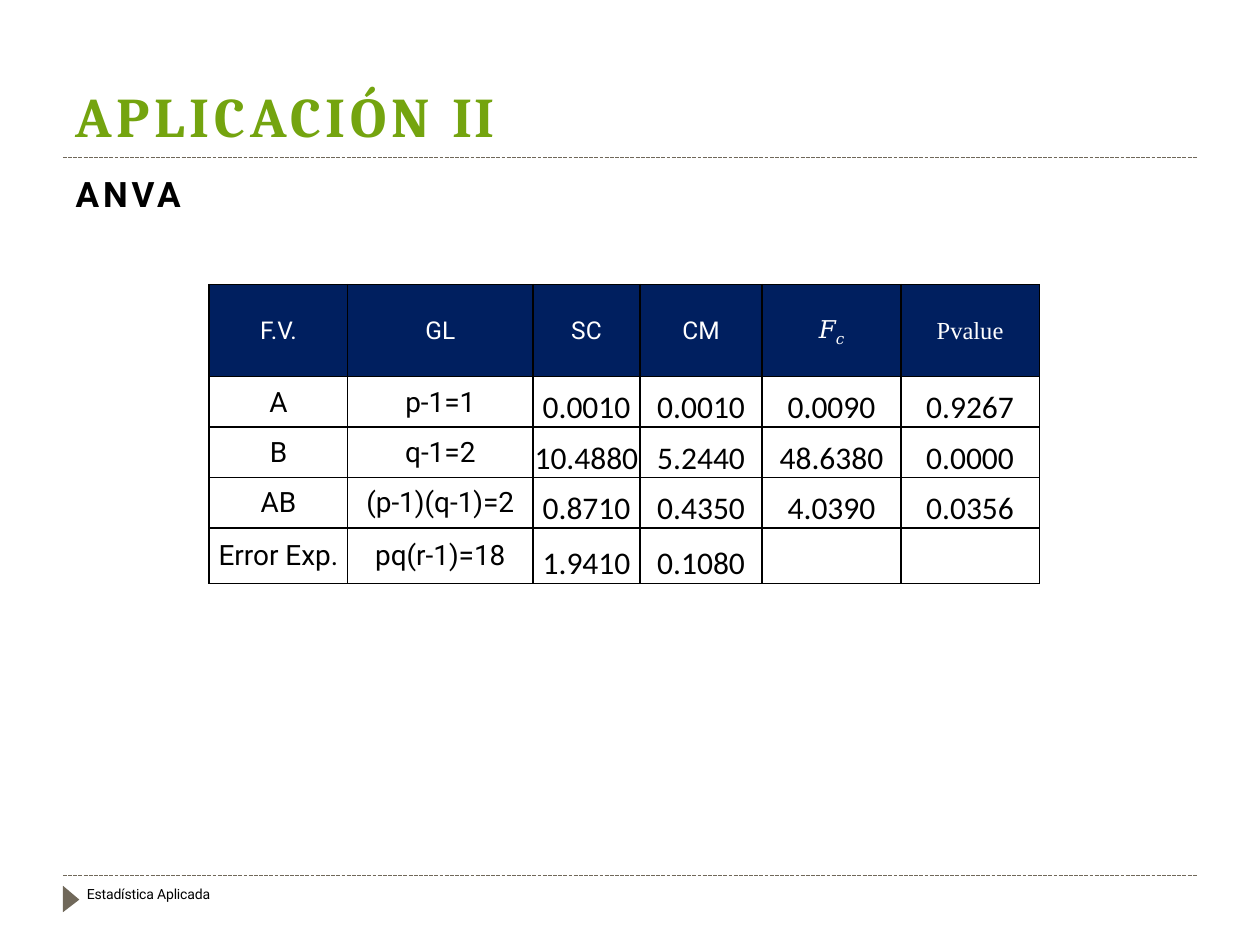
from dataclasses import dataclass

from lxml import etree
from pptx import Presentation
from pptx.dml.color import RGBColor
from pptx.enum import dml, shapes, text
from pptx.oxml import ns
from pptx.util import Inches, Pt


@dataclass(frozen=True)
class Theme:
    green: str = "74A40F"
    navy: str = "001F5F"
    taupe: str = "70685A"
    black: str = "000000"
    white: str = "FFFFFF"
    heading_font: str = "Cambria"
    body_font: str = "Roboto"
    number_font: str = "Calibri"
    math_font: str = "Times New Roman"
    title_size: float = 32
    subtitle_size: float = 20
    number_size: float = 18
    label_size: float = 16
    subscript_size: float = 15
    header_size: float = 14
    footer_size: float = 8


THEME = Theme()
COLUMN_WIDTHS = [1.1, 1.47, 0.85, 0.97, 1.1, 1.1]
ROW_HEIGHTS = [0.73, 0.4, 0.4, 0.4, 0.44]
LABEL_COLUMNS = 2
HEADERS = ["F.V.", "GL", "SC", "CM", "𝐹", "Pvalue"]
ANOVA_ROWS = [
    ["A", "p-1=1", "0.0010", "0.0010", "0.0090", "0.9267"],
    ["B", "q-1=2", "10.4880", "5.2440", "48.6380", "0.0000"],
    ["AB", "(p-1)(q-1)=2", "0.8710", "0.4350", "4.0390", "0.0356"],
    ["Error Exp.", "pq(r-1)=18", "1.9410", "0.1080", "", ""],
]


def write(paragraph, words, *, size, font=THEME.body_font, color=THEME.black,
          bold=False, spacing=0, baseline=0):
    """Append a run; spacing is in points, baseline in percent."""
    run = paragraph.add_run()
    run.text = words
    run.font.size = Pt(size)
    run.font.name = font
    run.font.bold = bold
    run.font.color.rgb = RGBColor.from_string(color)
    properties = run._r.get_or_add_rPr()
    if spacing:
        properties.set("spc", str(round(spacing * 100)))
    if baseline:
        properties.set("baseline", str(baseline * 1000))


def prepare_line(shape, left, top, width, height, space_before):
    """Place a one-paragraph text shape and return its paragraph."""
    shape.left, shape.top = Inches(left), Inches(top)
    shape.width, shape.height = Inches(width), Inches(height)
    frame = shape.text_frame
    frame.word_wrap = True
    frame.auto_size = text.MSO_AUTO_SIZE.NONE
    frame.vertical_anchor = text.MSO_ANCHOR.TOP
    frame.margin_left = frame.margin_right = frame.margin_bottom = 0
    frame.margin_top = Inches(0.01)
    paragraph = frame.paragraphs[0]
    paragraph.alignment = text.PP_ALIGN.LEFT
    paragraph.space_before = Pt(space_before)
    paragraph._p.get_or_add_pPr().set("marL", str(Inches(0.01)))
    return paragraph


def add_label(slide, *box, space_before):
    label = slide.shapes.add_textbox(0, 0, 0, 0)
    return prepare_line(label, *box, space_before)


def add_rule(slide, top):
    rule = slide.shapes.add_connector(
        shapes.MSO_CONNECTOR.STRAIGHT,
        Inches(0.5), Inches(top), Inches(9.5), Inches(top))
    rule.line.color.rgb = RGBColor.from_string(THEME.taupe)
    rule.line.width = Pt(0.75)
    rule.line.dash_style = dml.MSO_LINE.SQUARE_DOT
    etree.SubElement(rule._element.spPr, ns.qn("a:effectLst"))


def add_footer_marker(slide):
    builder = slide.shapes.build_freeform(Inches(0.5), Inches(7.03), scale=1.0)
    builder.add_line_segments(
        [(Inches(0.5), Inches(7.24)), (Inches(0.63), Inches(7.14))], close=True)
    marker = builder.convert_to_shape()
    marker.shadow.inherit = False
    marker.fill.solid()
    marker.fill.fore_color.rgb = RGBColor.from_string(THEME.taupe)
    marker.line.fill.background()


def add_borders(cell):
    properties = cell._tc.get_or_add_tcPr()
    for side in ("lnL", "lnR", "lnT", "lnB"):
        border = etree.SubElement(properties, ns.qn(f"a:{side}"), w=str(Pt(1)))
        fill = etree.SubElement(border, ns.qn("a:solidFill"))
        etree.SubElement(fill, ns.qn("a:srgbClr"), val=THEME.black)


def format_cell(cell, anchor, fill=None):
    """Set the cell frame and return its centred paragraph."""
    cell.margin_left = cell.margin_right = cell.margin_top = Inches(0.01)
    cell.margin_bottom = 0
    cell.vertical_anchor = anchor
    add_borders(cell)
    if fill:
        cell.fill.solid()
        cell.fill.fore_color.rgb = RGBColor.from_string(fill)
    else:
        cell.fill.background()
    paragraph = cell.text_frame.paragraphs[0]
    paragraph.alignment = text.PP_ALIGN.CENTER
    return paragraph


def fill_header(table):
    for column, heading in enumerate(HEADERS):
        paragraph = format_cell(
            table.cell(0, column), text.MSO_ANCHOR.MIDDLE, THEME.navy)
        font = THEME.math_font if column >= 4 else THEME.body_font
        write(paragraph, heading, size=THEME.header_size, font=font,
              color=THEME.white)
        if heading == "𝐹":
            write(paragraph, "𝑐", size=THEME.subscript_size, font=font,
                  color=THEME.white, baseline=-25)


def fill_body(table):
    for row, values in enumerate(ANOVA_ROWS, start=1):
        for column, value in enumerate(values):
            if column < LABEL_COLUMNS:
                anchor = text.MSO_ANCHOR.MIDDLE
                style = dict(size=THEME.label_size)
            else:
                anchor = text.MSO_ANCHOR.BOTTOM
                style = dict(size=THEME.number_size, font=THEME.number_font)
            paragraph = format_cell(table.cell(row, column), anchor)
            if value:
                write(paragraph, value, **style)


def add_anova_table(slide):
    table = slide.shapes.add_table(
        len(ROW_HEIGHTS), len(COLUMN_WIDTHS), Inches(1.66), Inches(2.26),
        Inches(sum(COLUMN_WIDTHS)), Inches(sum(ROW_HEIGHTS))).table
    table.first_row = table.horz_banding = False
    for column, width in zip(table.columns, COLUMN_WIDTHS):
        column.width = Inches(width)
    for row, height in zip(table.rows, ROW_HEIGHTS):
        row.height = Inches(height)
    fill_header(table)
    fill_body(table)


def main():
    deck = Presentation()
    deck.slide_width, deck.slide_height = Inches(10), Inches(7.5)
    slide = deck.slides.add_slide(deck.slide_layouts.get_by_name("Title Only"))

    for top in (6.95, 1.25):
        add_rule(slide, top)
    add_footer_marker(slide)

    title = prepare_line(slide.shapes.title, 0.59, 0.64, 6.33, 0.56, 1.1)
    for words, spacing in (("APLICACIÓN ", 2.7), ("II", 1.2)):
        write(title, words, size=THEME.title_size, font=THEME.heading_font,
              color=THEME.green, bold=True, spacing=spacing)

    subtitle = add_label(slide, 0.59, 1.36, 0.88, 0.36, space_before=1.1)
    write(subtitle, "ANVA", size=THEME.subtitle_size, bold=True, spacing=2.2)

    footer = add_label(slide, 0.68, 7.02, 1.97, 0.14, space_before=0.5)
    write(footer, "Estadística Aplicada", size=THEME.footer_size, spacing=-0.1)

    add_anova_table(slide)
    deck.save("out.pptx")


if __name__ == "__main__":
    main()
